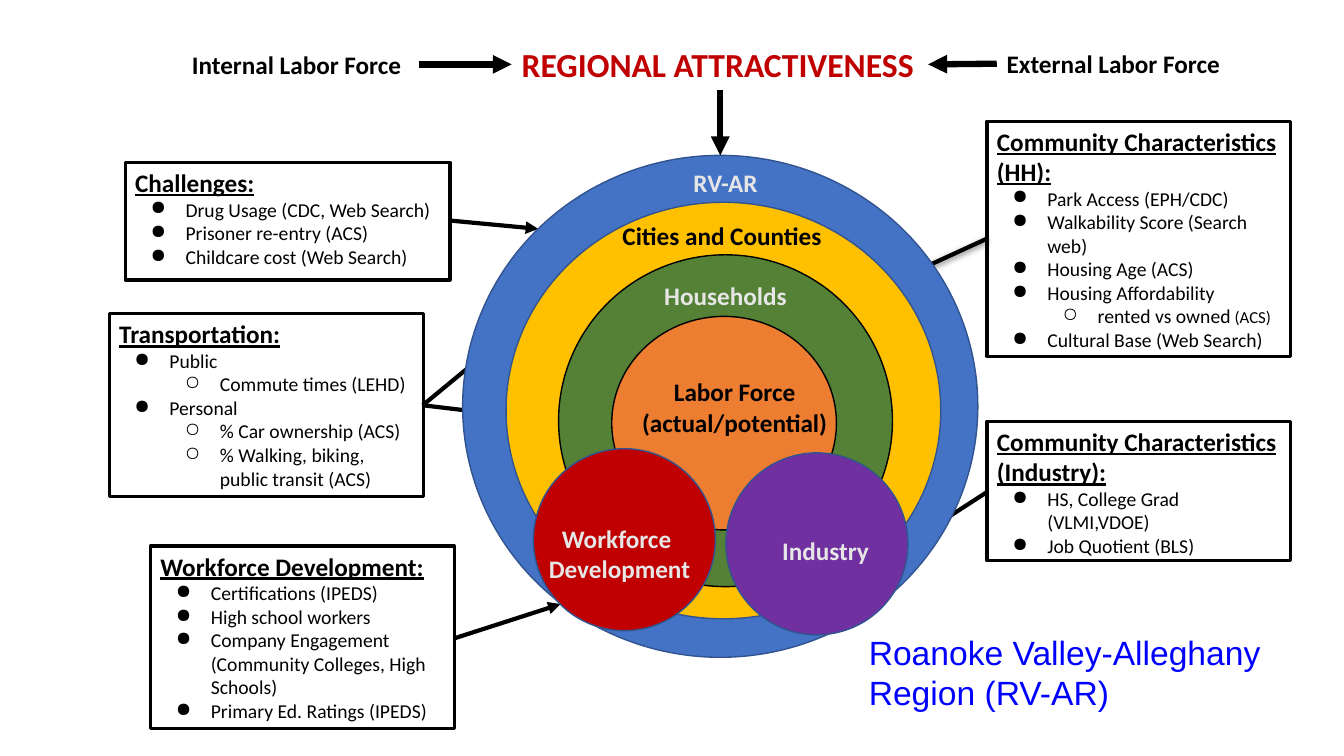
from lxml import etree
from pptx import Presentation
from pptx.dml.color import RGBColor
from pptx.enum.shapes import MSO_CONNECTOR, MSO_SHAPE
from pptx.enum.text import MSO_ANCHOR, PP_ALIGN
from pptx.oxml import parse_xml
from pptx.oxml.ns import nsdecls, qn
from pptx.util import Pt

BLACK = RGBColor(0x00, 0x00, 0x00)
PALE = RGBColor(0xE7, 0xE6, 0xE6)
RED = RGBColor(0xC0, 0x00, 0x00)
BLUE = RGBColor(0x44, 0x72, 0xC4)
GOLD = RGBColor(0xFF, 0xC0, 0x00)
GREEN = RGBColor(0x54, 0x81, 0x35)
ORANGE = RGBColor(0xED, 0x7D, 0x31)
PURPLE = RGBColor(0x70, 0x30, 0xA0)
OUTLINE = RGBColor(0x31, 0x53, 0x8F)
LINK_BLUE = RGBColor(0x00, 0x00, 0xFF)

# Box (left, top, width, height), heading, then (level, text, small ending)
FACTORS = [
    ((89.5, 116, 232, 84), "Challenges:", [
        (0, "Drug Usage (CDC, Web Search)", ""),
        (0, "Prisoner re-entry (ACS)", ""),
        (0, "Childcare cost (Web Search)", "")]),
    ((78, 224, 224.5, 130.5), "Transportation:", [
        (0, "Public", ""),
        (1, "Commute times (LEHD)", ""),
        (0, "Personal", ""),
        (1, "% Car ownership (ACS)", ""),
        (1, "% Walking, biking, public transit (ACS)", "")]),
    ((107.5, 390, 217, 130.5), "Workforce Development:", [
        (0, "Certifications (IPEDS)", ""),
        (0, "High school workers", ""),
        (0, "Company Engagement (Community Colleges, High Schools)", ""),
        (0, "Primary Ed. Ratings (IPEDS)", "")]),
    ((705, 86.5, 217, 168), "Community Characteristics (HH):", [
        (0, "Park Access (EPH/CDC)", ""),
        (0, "Walkability Score (Search web)", ""),
        (0, "Housing Age (ACS)", ""),
        (0, "Housing Affordability", ""),
        (1, "rented vs owned", " (ACS)"),
        (0, "Cultural Base (Web Search)", "")]),
    ((705, 301, 217, 99.5), "Community Characteristics (Industry):", [
        (0, "HS, College Grad (VLMI,VDOE)", ""),
        (0, "Job Quotient (BLS)", "")]),
]

# Start and end of each arrow from a factor box, and whether it casts a shadow
FACTOR_ARROWS = [
    ((321, 157.5), (384.5, 163.5), False),
    ((302, 289.5), (345, 254), False),
    ((302, 289.5), (399, 301), False),
    ((324.5, 456), (400.5, 431.5), False),
    ((705, 351.5), (648.5, 388), False),
    ((705, 170.5), (602.5, 217.5), True),
]

# Circle box, fill, outline, label, label colour, label offset and width
CIRCLES = [
    ((330.5, 111, 368, 358.5), BLUE, OUTLINE, "RV-AR", PALE, (124, 5, 127.5)),
    ((361.5, 144.5, 310.5, 297.5), GOLD, OUTLINE, "Cities and Counties", BLACK,
     (62, 9.5, 184.5)),
    ((399, 182, 238.5, 237), GREEN, BLACK, "Households", PALE, (65.5, 14.5, 107.5)),
    ((437, 226, 160.5, 152.5), ORANGE, BLACK, "Labor Force\n(actual/potential)",
     BLACK, (12.5, 39.5, 150.5)),
    ((518.5, 323.5, 130, 130), PURPLE, OUTLINE, "Industry", PALE, (31, 55, 80.5)),
    ((381, 320.5, 130, 130), RED, OUTLINE, "Workforce \nDevelopment", PALE,
     (3.5, 49.5, 116)),
]


def style(span, size, color, bold=False, underline=False, name="Calibri"):
    font = span.font
    font.name, font.size, font.bold, font.underline = name, Pt(size), bold, underline
    font.color.rgb = color


def add_label(page, box, text, size, color, bold=True, align=PP_ALIGN.LEFT,
              name="Calibri"):
    label = page.shapes.add_textbox(*map(Pt, box))
    frame = label.text_frame
    frame.word_wrap = True
    frame.text = text
    for para in frame.paragraphs:
        para.alignment = align
        style(para.runs[0], size, color, bold, name=name)
    return frame


def add_arrow(page, start, end, width, shadow=False):
    arrow = page.shapes.add_connector(MSO_CONNECTOR.STRAIGHT, *map(Pt, start + end))
    arrow.line.color.rgb = BLACK
    arrow.line.width = Pt(width)
    etree.SubElement(arrow.line._get_or_add_ln(), qn("a:tailEnd"), type="triangle")
    effects = etree.SubElement(arrow._element.spPr, qn("a:effectLst"))
    if shadow:
        effects.append(parse_xml(
            f'<a:outerShdw {nsdecls("a")} blurRad="{Pt(4.5)}" dist="{Pt(1.5)}" '
            'dir="5400000"><a:srgbClr val="000000"><a:alpha val="50000"/>'
            '</a:srgbClr></a:outerShdw>'))


def add_outline_shape(page, kind, box, line, width):
    shape = page.shapes.add_shape(kind, *map(Pt, box))
    shape.shadow.inherit = False
    shape.line.color.rgb = line
    shape.line.width = Pt(width)
    return shape


def add_bullet(para, level):
    props = para._p.get_or_add_pPr()
    props.set("marL", str(Pt(36 * (level + 1))))
    props.set("indent", str(Pt(-25)))
    color = etree.SubElement(props, qn("a:buClr"))
    etree.SubElement(color, qn("a:srgbClr"), val=str(BLACK))
    etree.SubElement(props, qn("a:buChar"), char="●○"[level])
    para.level = level


def add_factor(page, box, heading, items):
    panel = add_outline_shape(page, MSO_SHAPE.RECTANGLE, box, BLACK, 2.25)
    panel.fill.background()
    frame = panel.text_frame
    frame.word_wrap = True
    frame.vertical_anchor = MSO_ANCHOR.TOP
    frame.text = heading
    frame.paragraphs[0].alignment = PP_ALIGN.LEFT
    style(frame.paragraphs[0].runs[0], 18, BLACK, True, True)
    for level, text, ending in items:
        para = frame.add_paragraph()
        para.alignment = PP_ALIGN.LEFT
        add_bullet(para, level)
        for words, size in ((text, 14), (ending, 12)):
            if words:
                span = para.add_run()
                span.text = words
                style(span, size, BLACK)


def add_circle(page, box, fill, line, text, color, label):
    circle = add_outline_shape(page, MSO_SHAPE.OVAL, box, line, 1)
    circle.fill.solid()
    circle.fill.fore_color.rgb = fill
    left, top, width = label
    height = 29 + 21.5 * text.count("\n")
    add_label(page, (box[0] + left, box[1] + top, width, height), text, 18, color,
              align=PP_ALIGN.CENTER)


def add_header(page, left, top):
    add_label(page, (left, top + 3.5, 169, 29), "Internal Labor Force", 18, BLACK)
    add_label(page, (left + 235.5, top, 297.5, 36), "REGIONAL ATTRACTIVENESS", 24, RED)
    add_label(page, (left + 582, top + 3, 184, 29), "External Labor Force", 18, BLACK)
    add_arrow(page, (left + 169, top + 18), (left + 235.5, top + 18), 4.5)
    add_arrow(page, (left + 582, top + 17.5), (left + 533, top + 18), 4.5)
    add_arrow(page, (left + 384.5, top + 36), (left + 384.5, top + 83), 4.5)


def add_region_name(page, box):
    frame = add_label(page, box, "Roanoke Valley-Alleghany Region (RV-AR)", 24,
                      LINK_BLUE, bold=False, name="Arial")
    frame.margin_top = frame.margin_bottom = Pt(7.2)


def main():
    deck = Presentation()
    deck.slide_width, deck.slide_height = Pt(960), Pt(540)
    page = deck.slides.add_slide(deck.slide_layouts[6])

    # Arrows lie behind the circles
    for start, end, shadow in FACTOR_ARROWS:
        add_arrow(page, start, end, 3, shadow)
    for circle in CIRCLES:
        add_circle(page, *circle)
    for factor in FACTORS:
        add_factor(page, *factor)
    add_header(page, 130, 28)
    add_region_name(page, (613.5, 444, 301.5, 51))
    deck.save("out.pptx")


if __name__ == "__main__":
    main()
